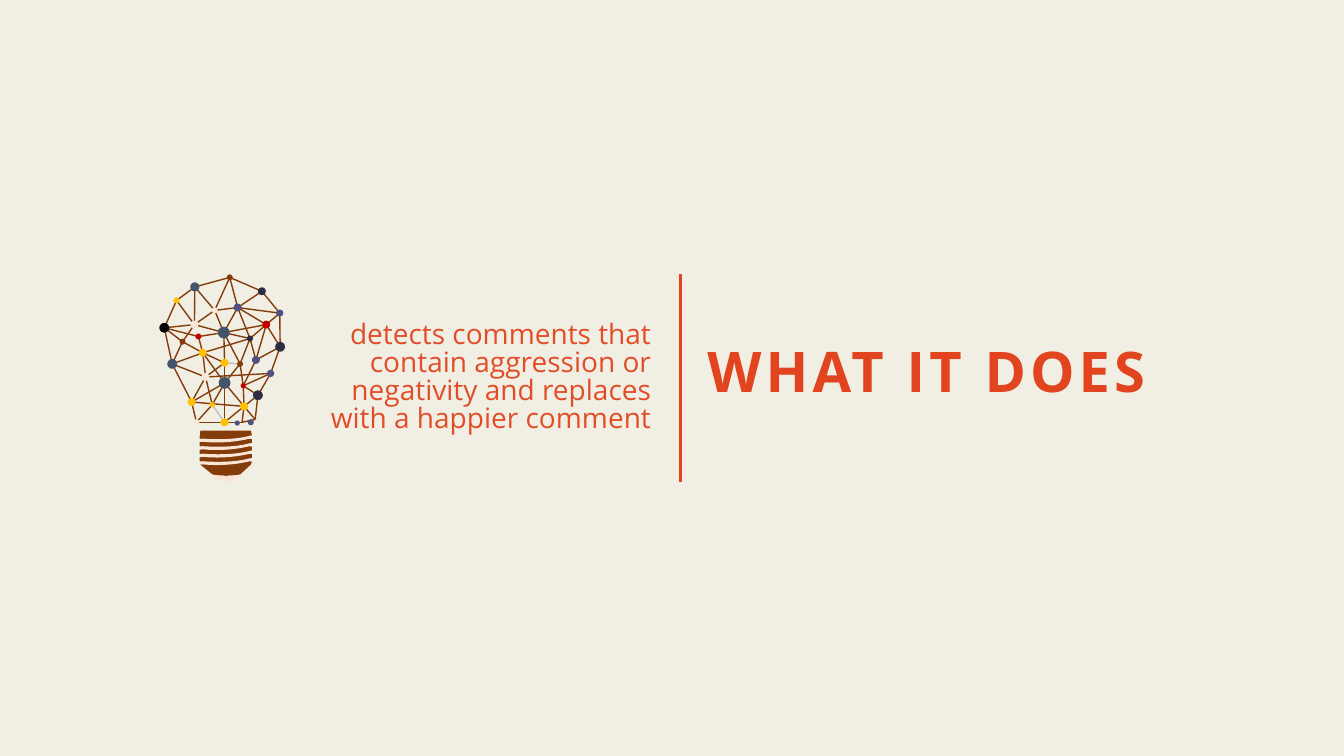
import pptx
import pptx.dml.color
import pptx.enum.shapes
import pptx.enum.text
import pptx.oxml
import pptx.util

Cm = pptx.util.Cm
Pt = pptx.util.Pt
RGBColor = pptx.dml.color.RGBColor
SHAPE = pptx.enum.shapes.MSO_SHAPE
ALIGN = pptx.enum.text.PP_ALIGN

PAPER = RGBColor(0xF1, 0xEF, 0xE3)
ORANGE = RGBColor(0xE1, 0x44, 0x1F)
LIGHT_ORANGE = RGBColor(0xE2, 0x4D, 0x29)
BROWN = RGBColor(0x84, 0x3C, 0x0B)
CREAM = RGBColor(0xFB, 0xE5, 0xD6)
GOLD = RGBColor(0xFF, 0xC0, 0x00)
SLATE = RGBColor(0x44, 0x54, 0x6A)
VIOLET = RGBColor(0x51, 0x50, 0x81)
NAVY = RGBColor(0x2F, 0x2C, 0x41)
RED = RGBColor(0xC0, 0x00, 0x00)
BLACK = RGBColor(0x00, 0x00, 0x00)
GREY = RGBColor(0xBF, 0xBF, 0xBF)
FONT = "Open Sans"

# Bulb nodes from top to bottom: centre x, centre y, diameter (cm), colour
NODES = {
    "A": (5.79, 6.99, 0.15, BROWN), "B": (4.91, 7.23, 0.23, SLATE),
    "C": (6.60, 7.34, 0.20, NAVY), "D": (4.45, 7.57, 0.15, GOLD),
    "E": (5.99, 7.75, 0.20, VIOLET), "F": (5.41, 7.82, 0.15, CREAM),
    "G": (7.05, 7.89, 0.18, VIOLET), "H": (4.90, 8.18, 0.20, CREAM),
    "I": (6.71, 8.18, 0.20, RED), "J": (4.14, 8.26, 0.25, BLACK),
    "K": (5.64, 8.38, 0.30, SLATE), "L": (5.00, 8.48, 0.15, RED),
    "M": (6.30, 8.53, 0.15, NAVY), "N": (4.60, 8.61, 0.15, BROWN),
    "O": (7.06, 8.74, 0.25, NAVY), "P": (5.11, 8.89, 0.20, GOLD),
    "Q": (6.45, 9.07, 0.20, VIOLET), "R": (5.66, 9.14, 0.20, GOLD),
    "S": (6.05, 9.17, 0.15, BROWN), "T": (4.34, 9.17, 0.25, SLATE),
    "U": (6.82, 9.41, 0.18, VIOLET), "V": (5.18, 9.50, 0.20, CREAM),
    "W": (5.66, 9.65, 0.30, SLATE), "X": (6.13, 9.72, 0.13, RED),
    "Y": (6.50, 9.96, 0.25, NAVY), "Z": (4.83, 10.13, 0.20, GOLD),
    "a": (5.35, 10.20, 0.13, GOLD), "b": (6.15, 10.24, 0.20, GOLD),
    "c": (5.66, 10.64, 0.20, GOLD), "d": (4.95, 10.64, 0.15, CREAM),
    "e": (5.98, 10.66, 0.13, VIOLET), "f": (6.32, 10.64, 0.15, VIOLET),
}
# Corners of the net that carry no dot
JOINTS = {"g": (6.43, 10.57), "h": (6.10, 10.64)}
EDGES = (
    "QO TZ PV OU UY QX Yg Zd GO CG AC BA DB DJ JT JH NH JL TN JN LP HD BH "
    "HF BF AF AE CE GE KS KE FE EI GI IO MI EM KF LK HK KI KM PN TP TV ZV "
    "aV da ac cW KR PW WR MQ QI SM PM bW cb XY Xb SX VR PR RS WS aW ZW Zb "
    "UX VU dc ch hg bh bg bY"
).split()
GREY_EDGES = {"ac", "RS"}

RIBS = 4
RIB_STEP = 0.19
SOCKET_SAG = ((6.05, 11.96), (5.76, 12.01), (5.51, 11.99), (5.36, 11.96))


def add_line(shapes, start, end, color, width):
    """Draw a straight line between two points in cm."""
    line = shapes.add_connector(
        pptx.enum.shapes.MSO_CONNECTOR.STRAIGHT,
        *(Cm(v) for v in (*start, *end)))
    line.line.color.rgb = color
    line.line.width = Pt(width)
    line._element.spPr.append(pptx.oxml.parse_xml(
        '<a:effectLst xmlns:a='
        '"http://schemas.openxmlformats.org/drawingml/2006/main"/>'))


def fill_plain(sp, color):
    """Give a shape a flat fill without line or shadow."""
    sp.shadow.inherit = False
    sp.fill.solid()
    sp.fill.fore_color.rgb = color
    sp.line.fill.background()


def add_dot(shapes, x, y, size, color):
    """Draw a dot centred on x, y."""
    sp = shapes.add_shape(SHAPE.OVAL, Cm(x - size / 2), Cm(y - size / 2),
                          Cm(size), Cm(size))
    fill_plain(sp, color)


def add_outline(shapes, points, color):
    """Draw a filled closed outline through points in cm."""
    (x, y), *rest = [(Cm(px), Cm(py)) for px, py in points]
    builder = shapes.build_freeform(x, y)
    builder.add_line_segments(rest, close=True)
    fill_plain(builder.convert_to_shape(), color)


def curve(p0, p1, p2, p3, steps=10):
    """Return points along a cubic Bezier curve."""
    points = []
    for i in range(steps + 1):
        t = i / steps
        u = 1 - t
        weights = (u ** 3, 3 * u * u * t, 3 * u * t * t, t ** 3)
        points.append(tuple(
            sum(w * v for w, v in zip(weights, axis))
            for axis in zip(p0, p1, p2, p3)))
    return points


def notches(outer, inner, top):
    """Return the notched side of the socket from top to bottom."""
    points = []
    for i in range(RIBS):
        y = top + i * RIB_STEP
        points += [(outer, y - 0.05), (inner, y - 0.03),
                   (inner, y + 0.03), (outer, y + 0.05)]
    return points


def add_socket(shapes):
    """Draw the screw socket with its bands and tip."""
    right = notches(6.35, 6.27, 11.02)
    left = notches(5.03, 5.11, 11.10)
    sag = curve(*SOCKET_SAG)
    add_outline(shapes, [(5.05, 10.85), (6.32, 10.85), *right, (6.32, 11.71),
                         *sag, (5.05, 11.71), *reversed(left)], BROWN)
    for i in range(RIBS):
        y = 11.05 + i * RIB_STEP
        top = curve((5.08, y), (5.08, y), (5.79, y + 0.07), (6.30, y - 0.07))
        bottom = curve((6.30, y), (6.30, y), (5.79, y + 0.15),
                       (5.08, y + 0.08))
        add_outline(shapes, top + bottom, CREAM)
    tip = curve((5.44, 12.07), (5.51, 12.16), (5.87, 12.16), (5.94, 12.07))
    add_outline(shapes, tip + sag, CREAM)


def add_bulb(slide):
    """Draw the light bulb as a net of nodes on a socket."""
    shapes = slide.shapes.add_group_shape().shapes
    centres = {key: node[:2] for key, node in NODES.items()} | JOINTS
    for edge in EDGES:
        start, end = edge
        add_line(shapes, centres[start], centres[end],
                 GREY if edge in GREY_EDGES else BROWN, 1)
    for node in NODES.values():
        add_dot(shapes, *node)
    add_socket(shapes)


def add_text(slide, text, box, size, leading, color, align, bold=False,
             tracking=None):
    """Add a text box with one formatted paragraph."""
    tf = slide.shapes.add_textbox(*(Cm(v) for v in box)).text_frame
    tf.word_wrap = True
    tf.auto_size = pptx.enum.text.MSO_AUTO_SIZE.SHAPE_TO_FIT_TEXT
    tf.text = text
    p = tf.paragraphs[0]
    p.alignment = align
    p.line_spacing = Pt(leading)
    r = p.runs[0]
    r.font.name = FONT
    r.font.size = Pt(size)
    r.font.bold = bold
    r.font.color.rgb = color
    if tracking:
        r._r.get_or_add_rPr().set("spc", str(tracking * 100))


def main():
    """Build the slide and save it."""
    prs = pptx.Presentation()
    prs.slide_width, prs.slide_height = Cm(33.87), Cm(19.05)
    slide = prs.slides.add_slide(prs.slide_layouts[6])
    slide.background.fill.solid()
    slide.background.fill.fore_color.rgb = PAPER
    add_bulb(slide)
    add_text(slide, "detects comments that contain aggression or negativity "
             "and replaces with a happier comment",
             (7.19, 8.00, 9.47, 3.10), 20, 20, LIGHT_ORANGE, ALIGN.RIGHT)
    add_line(slide.shapes, (17.15, 6.91), (17.15, 12.14), ORANGE, 2.25)
    add_text(slide, "WHAT IT DOES", (17.58, 8.71, 12.27, 1.60), 40, 38,
             ORANGE, ALIGN.LEFT, bold=True, tracking=3)
    prs.save("out.pptx")


main()
